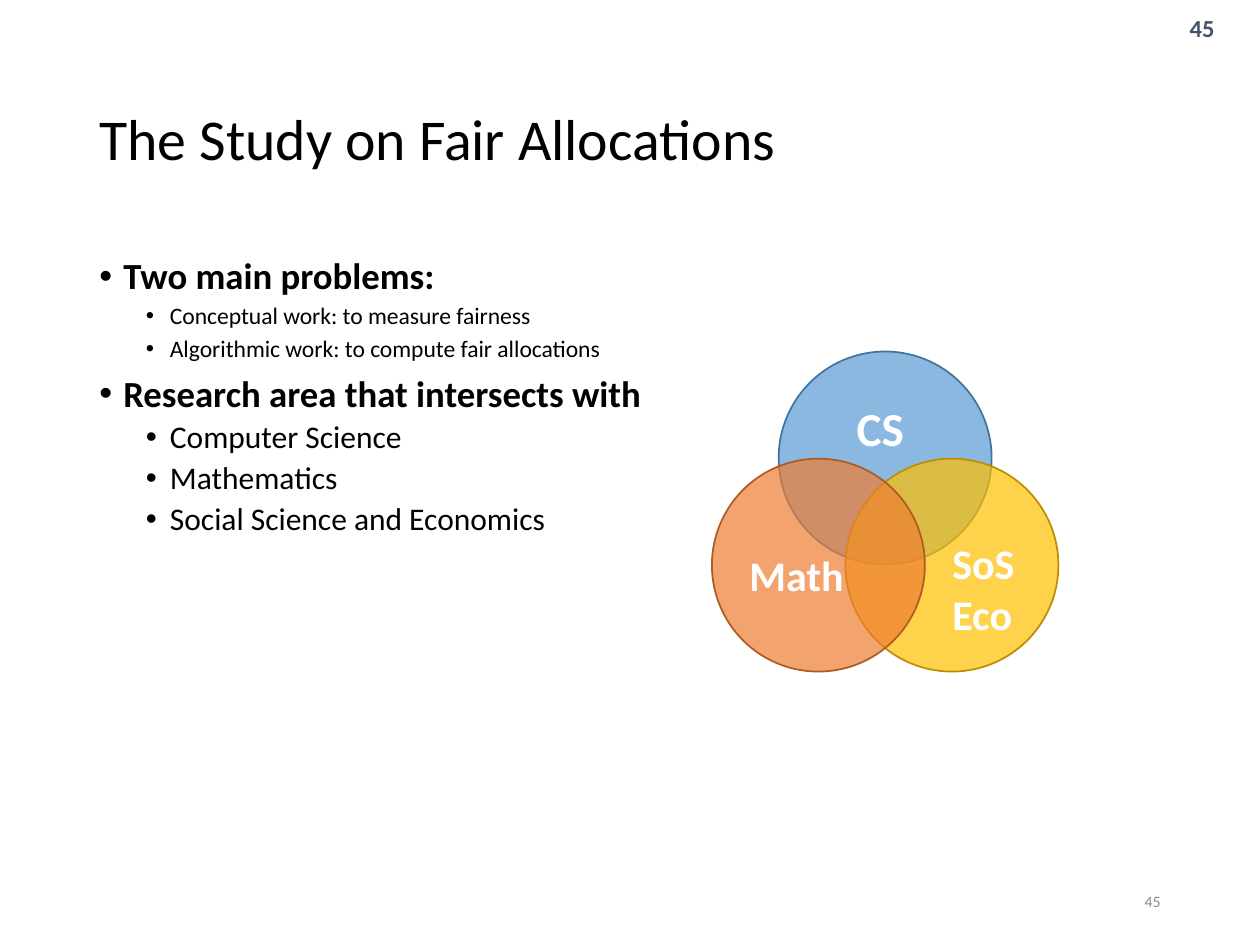
from lxml import etree
from pptx import Presentation
from pptx import util as u
from pptx.dml.color import RGBColor
from pptx.enum import shapes, text
from pptx.oxml.ns import qn

FONT = "Calibri"
BLACK = RGBColor(0x00, 0x00, 0x00)
WHITE = RGBColor(0xFF, 0xFF, 0xFF)
SLATE = RGBColor(0x44, 0x54, 0x6A)
GRAY = RGBColor(0x8C, 0x8C, 0x8C)
BLUE, BLUE_EDGE = RGBColor(0x5B, 0x9B, 0xD5), RGBColor(0x43, 0x73, 0x9E)
GOLD, GOLD_EDGE = RGBColor(0xFF, 0xC0, 0x00), RGBColor(0xBD, 0x8E, 0x00)
ORANGE, ORANGE_EDGE = RGBColor(0xED, 0x7D, 0x31), RGBColor(0xAF, 0x5C, 0x24)

PAGE_NUMBER = "45"
CIRCLE_SIZE = 1.69

# Level, size, wording
OUTLINE = [
    (0, 21, "Two main problems:"),
    (1, 13.5, "Conceptual work: to measure fairness"),
    (1, 13.5, "Algorithmic work: to compute fair allocations"),
    (0, 21, "Research area that intersects with"),
    (1, 18, "Computer Science"),
    (1, 18, "Mathematics"),
    (1, 18, "Social Science and Economics"),
]

# Left, top, fill, edge; back to front
CIRCLES = [
    (6.18, 2.79, BLUE, BLUE_EDGE),
    (6.71, 3.64, GOLD, GOLD_EDGE),
    (5.65, 3.64, ORANGE, ORANGE_EDGE),
]

# Box, size, lines
CIRCLE_LABELS = [
    ((6.7, 3.12, 0.58, 0.56), 27, ["CS"]),
    ((5.85, 4.31, 0.96, 0.5), 24, ["Math"]),
    ((7.46, 4.22, 0.76, 0.91), 24, ["SoS", "Eco"]),
]


def place(shape, box):
    shape.left, shape.top, shape.width, shape.height = map(u.Inches, box)


def style(paragraph, size, color, bold=False):
    font = paragraph.font
    font.name, font.size, font.bold = FONT, u.Pt(size), bold
    font.color.rgb = color


def add_text(slide, box, lines, size, color, bold=False, wrap=True,
             align=text.PP_ALIGN.LEFT, anchor=text.MSO_ANCHOR.TOP):
    frame = slide.shapes.add_textbox(*map(u.Inches, box)).text_frame
    frame.word_wrap = wrap
    frame.vertical_anchor = anchor
    frame.text = "\n".join(lines)
    for paragraph in frame.paragraphs:
        paragraph.alignment = align
        style(paragraph, size, color, bold)


def set_title(slide, wording):
    title = slide.shapes.title
    place(title, (0.69, 0.4, 8.62, 1.45))
    frame = title.text_frame
    frame.text = wording
    frame.auto_size = text.MSO_AUTO_SIZE.NONE
    frame.vertical_anchor = text.MSO_ANCHOR.MIDDLE
    paragraph = frame.paragraphs[0]
    paragraph.alignment = text.PP_ALIGN.LEFT
    paragraph.line_spacing = 0.9
    style(paragraph, 33, BLACK)


def add_bullet(paragraph, level):
    properties = paragraph._p.get_or_add_pPr()
    properties.set("marL", str(u.Inches((0.19, 0.56)[level])))
    properties.set("indent", str(u.Inches(-0.19)))
    etree.SubElement(properties, qn("a:buFont"), typeface="Arial")
    etree.SubElement(properties, qn("a:buChar"), char="•")


def add_outline(slide, box, items):
    frame = slide.shapes.add_textbox(*map(u.Inches, box)).text_frame
    frame.word_wrap = True
    frame.text = "\n".join(wording for _, _, wording in items)
    for index, (level, size, _) in enumerate(items):
        paragraph = frame.paragraphs[index]
        add_bullet(paragraph, level)
        paragraph.level = level
        paragraph.line_spacing = 0.9
        if index:
            paragraph.space_before = u.Pt((7.5, 3.8)[level])
        style(paragraph, size, BLACK, bold=level == 0)


def add_circle(slide, left, top, fill, edge):
    box = (left, top, CIRCLE_SIZE, CIRCLE_SIZE)
    circle = slide.shapes.add_shape(shapes.MSO_SHAPE.OVAL, *map(u.Inches, box))
    circle.shadow.inherit = False
    circle.fill.solid()
    circle.fill.fore_color.rgb = fill
    color = circle._element.spPr.find(qn("a:solidFill")).find(qn("a:srgbClr"))
    etree.SubElement(color, qn("a:alpha"), val="70000")
    circle.line.color.rgb = edge
    circle.line.width = u.Pt(1)


def main():
    presentation = Presentation()
    presentation.slide_width = u.Inches(10)
    presentation.slide_height = u.Inches(7.5)
    slide = presentation.slides.add_slide(presentation.slide_layouts[5])

    # Corner number, title and outline
    add_text(slide, (9.08, 0.01, 0.92, 0.42), [PAGE_NUMBER], 14, SLATE, bold=True,
             align=text.PP_ALIGN.CENTER, anchor=text.MSO_ANCHOR.MIDDLE)
    set_title(slide, "The Study on Fair Allocations")
    add_outline(slide, (0.69, 2, 8.62, 4.76), OUTLINE)

    # Venn diagram
    for circle in CIRCLES:
        add_circle(slide, *circle)
    for box, size, lines in CIRCLE_LABELS:
        add_text(slide, box, lines, size, WHITE, bold=True, wrap=False)

    # Footer number
    add_text(slide, (7.06, 6.95, 2.25, 0.4), [PAGE_NUMBER], 9, GRAY,
             align=text.PP_ALIGN.RIGHT, anchor=text.MSO_ANCHOR.MIDDLE)

    presentation.save("out.pptx")


if __name__ == "__main__":
    main()
